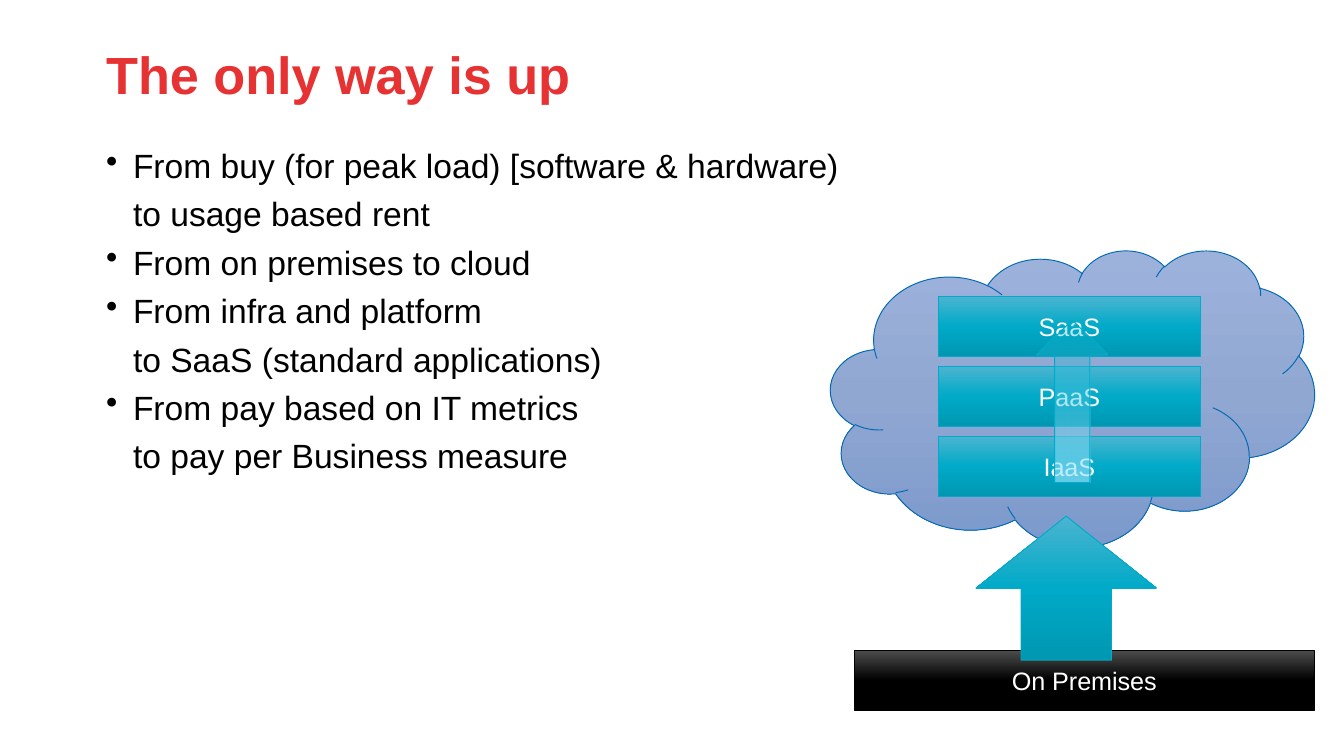
from copy import deepcopy
from lxml import etree
from pptx import Presentation
from pptx import util as u
from pptx.dml.color import RGBColor
from pptx.enum import shapes, text
from pptx.oxml import ns

RED = RGBColor(0xE6, 0x32, 0x32)
BLACK = RGBColor(0, 0, 0)
GREY = RGBColor(0x4B, 0x4B, 0x4B)
WHITE = RGBColor(255, 255, 255)
BLUE = RGBColor(0x00, 0x69, 0xB4)
TEAL = RGBColor(0x00, 0xAA, 0xC8)
PALE = RGBColor(0xA3, 0xE5, 0xFF)
SKY = (RGBColor(0x9D, 0xB2, 0xDB), RGBColor(0x90, 0xA7, 0xD2), RGBColor(0x7C, 0x99, 0xCC))
SEA = (RGBColor(0x4B, 0xB4, 0xD0), TEAL, RGBColor(0x00, 0x97, 0xB2))
NIGHT = (GREY, BLACK, BLACK)
KIND = shapes.MSO_SHAPE


class Deck:
    font = "Arial"

    def __init__(self, wide, high):
        self.prs = Presentation()
        self.prs.slide_width, self.prs.slide_height = u.Pt(wide), u.Pt(high)
        self.slide = self.prs.slides.add_slide(self.prs.slide_layouts[5])

    def style(self, par, size, color, bold=False):
        for run in par.runs:
            run.font.name, run.font.size = self.font, u.Pt(size)
            run.font.color.rgb, run.font.bold = color, bold

    def frame(self, box, anchor):
        frame = box.text_frame
        frame.word_wrap = True
        frame.auto_size = text.MSO_AUTO_SIZE.NONE
        frame.vertical_anchor = anchor
        frame.margin_left = frame.margin_right = 0
        frame.margin_top = frame.margin_bottom = 0
        return frame

    def title(self, words, x, y, w, h):
        box = self.slide.shapes.title
        box.left, box.top, box.width, box.height = map(u.Pt, (x, y, w, h))
        frame = self.frame(box, text.MSO_ANCHOR.MIDDLE)
        frame.text = words
        par = frame.paragraphs[0]
        par.alignment, par.line_spacing = text.PP_ALIGN.LEFT, 0.85
        self.style(par, 28, RED, True)

    def bullets(self, items, x, y, w, h):
        box = self.slide.shapes.add_textbox(*map(u.Pt, (x, y, w, h)))
        frame = self.frame(box, text.MSO_ANCHOR.TOP)
        frame.text = "\n".join(items)
        for par in frame.paragraphs:
            par.line_spacing = 1.2
            self.style(par, 18, BLACK)
            props = par._p.get_or_add_pPr()
            props.set("marL", str(u.Pt(14.4)))
            props.set("indent", str(-u.Pt(14.4)))
            etree.SubElement(props, ns.qn("a:buChar")).set("char", "•")

    def shade(self, shape, colors, alphas):
        fill = shape.fill
        fill.gradient()
        fill.gradient_angle = 270
        group = shape._element.spPr.find(".//" + ns.qn("a:gsLst"))
        while len(group) < len(colors):
            group.append(deepcopy(group[-1]))
        for i, stop in enumerate(fill.gradient_stops):
            stop.position = i / (len(colors) - 1)
            stop.color.rgb = colors[i]
            if alphas:
                tone = group[i].find(ns.qn("a:srgbClr"))
                etree.SubElement(tone, ns.qn("a:alpha")).set("val", str(alphas[i] * 1000))

    def shape(self, kind, x, y, w, h, colors, line, words="", alphas=()):
        shape = self.slide.shapes.add_shape(kind, *map(u.Pt, (x, y, w, h)))
        shape.shadow.inherit = False
        self.shade(shape, colors, alphas)
        shape.line.color.rgb, shape.line.width = line, u.Pt(0.5)
        if words:
            shape.text_frame.text = words
            shape.text_frame.vertical_anchor = text.MSO_ANCHOR.MIDDLE
            par = shape.text_frame.paragraphs[0]
            par.alignment = text.PP_ALIGN.CENTER
            self.style(par, 13.5, WHITE)


def main():
    deck = Deck(720, 405)
    deck.title("The only way is up", 56.9, 22.3, 521.3, 39.6)
    deck.bullets([
        "From buy (for peak load) [software & hardware) \vto usage based rent",
        "From on premises to cloud",
        "From infra and platform \vto SaaS (standard applications)",
        "From pay based on IT metrics \vto pay per Business measure",
    ], 56.9, 73.4, 521.3, 297.4)
    deck.shape(KIND.CLOUD, 445, 133.9, 259.2, 159.1, SKY, BLUE)
    for i, name in enumerate(("IaaS", "PaaS", "SaaS")):
        deck.shape(KIND.RECTANGLE, 502.6, 233.8 - 37.5 * i, 140.6, 32, SEA, TEAL, name)
    deck.shape(KIND.RECTANGLE, 457.7, 348.6, 246.3, 32, NIGHT, BLACK, "On Premises")
    deck.shape(KIND.UP_ARROW, 522.8, 276.5, 96.8, 77.2, SEA, TEAL)
    deck.shape(KIND.UP_ARROW, 555.5, 171.4, 37.8, 87.1, (TEAL, PALE), TEAL, alphas=(26, 63))
    deck.prs.save("out.pptx")


if __name__ == "__main__":
    main()
